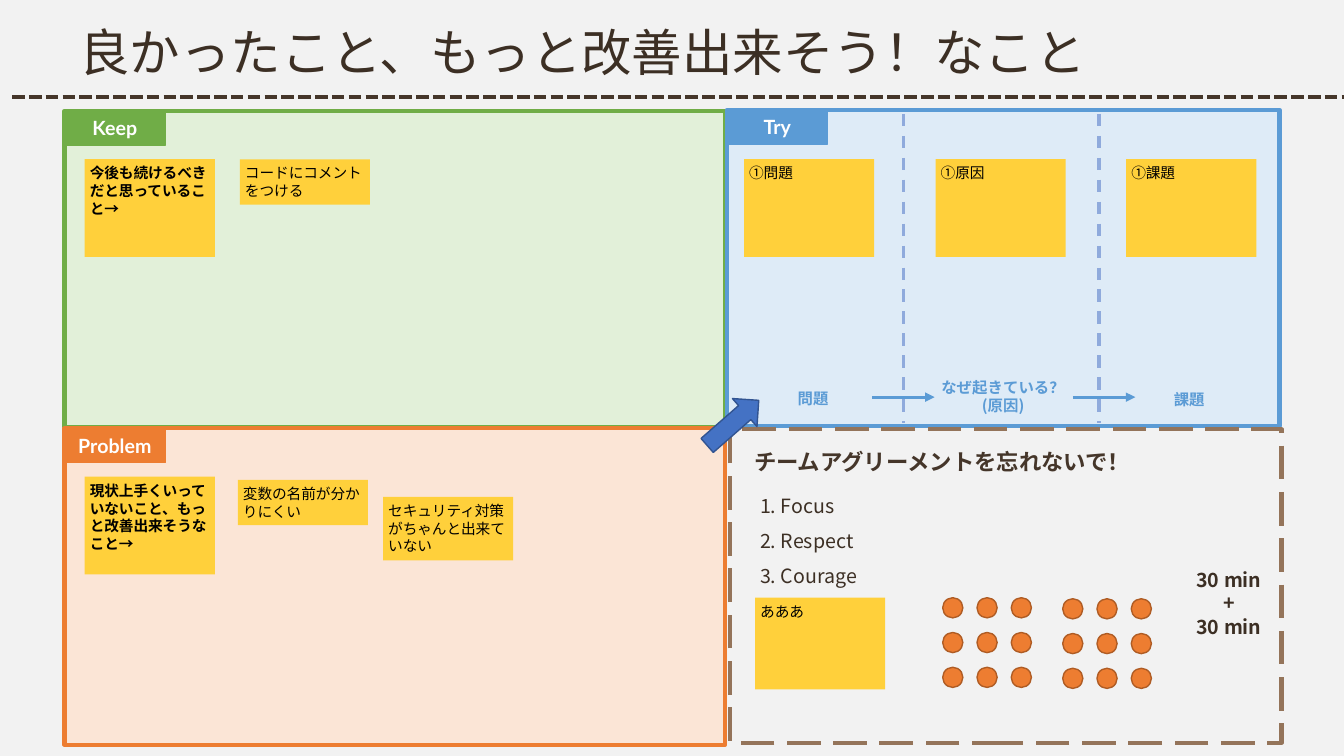
from lxml import etree
from pptx import Presentation
from pptx.dml.color import RGBColor
from pptx.enum.dml import MSO_LINE_DASH_STYLE as Dash
from pptx.enum.shapes import MSO_CONNECTOR as Connector, MSO_SHAPE as Shape
from pptx.enum.text import MSO_ANCHOR as Anchor, MSO_AUTO_SIZE as AutoSize, PP_ALIGN as Align
from pptx.oxml.ns import qn
from pptx.util import Inches, Pt

CJK = "Noto Sans CJK JP"
INK, DARK, BLUE, ORANGE, GREEN = "3C2F24", "45362A", "5B9BD5", "ED7D31", "70AD47"
NOTE_WIDTH, NOTE_HEIGHT = 1.29, 0.97


def color(value):
    """Turn a hex string into a colour."""
    return RGBColor.from_string(value)


def set_line(line, value, width, dash=None):
    """Set the colour, width in points and dash of a line."""
    line.color.rgb = color(value)
    line.width = Pt(width)
    if dash:
        line.dash_style = dash


def write(shape, text, size, value=INK, name=CJK, bold=False, align=Align.LEFT,
          spacing=None, inset=(0.1, 0.05), **frame_format):
    """Write one paragraph for each line of text into a shape."""
    frame = shape.text_frame
    frame.margin_left = frame.margin_right = Inches(inset[0])
    frame.margin_top = frame.margin_bottom = Inches(inset[1])
    frame_format = {"word_wrap": True, "vertical_anchor": Anchor.TOP} | frame_format
    for key, setting in frame_format.items():
        setattr(frame, key, setting)
    for index, words in enumerate(text.split("\n")):
        paragraph = frame.paragraphs[0] if index == 0 else frame.add_paragraph()
        paragraph.alignment = align
        if spacing:
            paragraph.line_spacing = spacing
        run = paragraph.add_run()
        run.text = words
        for key, setting in {"size": Pt(size), "bold": bold, "name": name}.items():
            setattr(run.font, key, setting)
        run.font.color.rgb = color(value)
        etree.SubElement(run.font._element, qn("a:ea"), typeface=CJK)


def add_text(slide, box, text, size, **text_format):
    """Add a text box."""
    shape = slide.shapes.add_textbox(*map(Inches, box))
    write(shape, text, size, **text_format)


def add_block(slide, kind, box, fill=None, line=None):
    """Add a preset shape without shadow; line holds colour, width and dash."""
    shape = slide.shapes.add_shape(kind, *map(Inches, box))
    shape.shadow.inherit = False
    if fill:
        shape.fill.solid()
        shape.fill.fore_color.rgb = color(fill)
    else:
        shape.fill.background()
    if line:
        set_line(shape.line, *line)
    else:
        shape.line.fill.background()
    return shape


def add_line(slide, start, end, value, width, dash=None, arrow=False):
    """Add a straight line, with an arrowhead if asked."""
    points = map(Inches, (*start, *end))
    connector = slide.shapes.add_connector(Connector.STRAIGHT, *points)
    set_line(connector.line, value, width, dash)
    if arrow:
        etree.SubElement(connector.line._get_or_add_ln(), qn("a:tailEnd"), type="triangle")
    etree.SubElement(connector._element.spPr, qn("a:effectLst"))


def add_note(slide, left, top, text, height=NOTE_HEIGHT, name="Arial", bold=False):
    """Add a yellow sticky note."""
    note = add_block(slide, Shape.RECTANGLE, (left, top, NOTE_WIDTH, height), "FFD03B")
    write(note, text, 10.5, value="000000", name=name, bold=bold, inset=(0.05, 0.05))


def add_panel(slide, box, label, fill, accent):
    """Add a framed panel with a label tab in its top left corner."""
    left, top = box[:2]
    add_block(slide, Shape.RECTANGLE, box, fill, (accent, 3))
    tab = add_block(slide, Shape.RECTANGLE, (left, top, 1, 0.34), accent, (accent, 1))
    write(tab, label, 14, value="FFFFFF", name="Lato", bold=True,
          align=Align.CENTER, vertical_anchor=Anchor.MIDDLE)


def add_title(slide, box):
    """Add the title and the dashed rule under it."""
    left, top, width, height = box
    add_text(slide, (left + 0.69, top + 0.23, 11.5, 0.97),
             "良かったこと、もっと改善出来そう！なこと", 36, spacing=0.9)
    add_line(slide, (left + 0.12, top + height), (left + width, top + height),
             DARK, 3, Dash.SQUARE_DOT)


def add_review(slide, box, label, fill, accent, prompt, notes):
    """Add a panel with a bold prompt note and smaller answer notes."""
    left, top = box[:2]
    add_panel(slide, box, label, fill, accent)
    add_note(slide, left + 0.2, top + 0.48, prompt, name=CJK, bold=True)
    for across, down, height, text in notes:
        add_note(slide, left + across, top + down, text, height)


def add_try(slide, box):
    """Add the panel that leads from problem through cause to task."""
    left, top, _, height = box
    add_panel(slide, box, "Try", "DEEBF7", BLUE)
    columns = ((0.17, "①問題", (0.6, 2.72, 0.51, 0.29), "問題"),
               (2.07, "①原因", (2.02, 2.61, 1.44, 0.47), "なぜ起きている？\n(原因)"),
               (3.96, "①課題", (4.33, 2.73, 0.51, 0.29), "課題"))
    for across, note, (x, y, width, tall), label in columns:
        add_note(slide, left + across, top + 0.49, note)
        add_text(slide, (left + x, top + y, width, tall), label, 11, value=BLUE,
                 bold=True, align=Align.CENTER, word_wrap=False)
    for divider, arrow in ((1.75, 1.44), (3.69, 3.43)):
        add_line(slide, (left + divider, top + 0.04), (left + divider, top + height - 0.03),
                 "8FAADC", 2.25, Dash.DASH)
        add_line(slide, (left + arrow, top + 2.85), (left + arrow + 0.62, top + 2.85),
                 BLUE, 2.25, arrow=True)


def add_dots(slide, left, top):
    """Add a three by three grid of voting dots."""
    for index in range(9):
        row, column = divmod(index, 3)
        add_block(slide, Shape.OVAL, (left + column * 0.34, top + row * 0.345, 0.2, 0.2),
                  ORANGE, ("AF5C24", 1))


def add_agreement(slide, box):
    """Add the dashed box with the team agreement, dots and timing."""
    left, top = box[:2]
    add_block(slide, Shape.RECTANGLE, box, line=("94745A", 3, Dash.LONG_DASH))
    add_text(slide, (left + 0.14, top + 0.14, 4.02, 0.37),
             "チームアグリーメントを忘れないで！", 16, value=DARK, bold=True, word_wrap=False)
    add_text(slide, (left + 0.2, top + 0.47, 1.25, 1.13),
             "1. Focus\n2. Respect\n3. Courage", 14, spacing=1.5, word_wrap=False,
             auto_size=AutoSize.SHAPE_TO_FIT_TEXT)
    add_text(slide, (left + 4.47, top + 1.32, 0.96, 0.81), "30 min\n+\n30 min", 14,
             bold=True, align=Align.CENTER)
    add_note(slide, left + 0.25, top + 1.67, "あああ", 0.91)
    add_dots(slide, left + 2.11, top + 1.67)
    add_dots(slide, left + 3.3, top + 1.68)


def add_link_arrow(slide, box):
    """Add the block arrow from Problem to Try."""
    arrow = add_block(slide, Shape.RIGHT_ARROW, box, "4472C4", ("325491", 1))
    arrow.rotation = 318.8


def main():
    """Build and save the retrospective board."""
    presentation = Presentation()
    presentation.slide_width, presentation.slide_height = Inches(13.33), Inches(7.5)
    slide = presentation.slides.add_slide(presentation.slide_layouts[6])
    slide.background.fill.solid()
    slide.background.fill.fore_color.rgb = color("F2F2F2")
    add_title(slide, (0, 0, 13.33, 0.96))
    add_review(slide, (0.64, 1.1, 6.55, 3.14), "Keep", "E2F0D9", GREEN,
               "今後も続けるべきだと思っていること→",
               [(1.74, 0.48, 0.45, "コードにコメントをつける")])
    add_review(slide, (0.64, 4.25, 6.55, 3.14), "Problem", "FBE5D6", ORANGE,
               "現状上手くいっていないこと、もっと改善出来そうなこと→",
               [(1.72, 0.51, 0.45, "変数の名前が分かりにくい"),
                (3.16, 0.68, 0.63, "セキュリティ対策がちゃんと出来ていない")])
    add_try(slide, (7.21, 1.09, 5.48, 3.14))
    add_agreement(slide, (7.24, 4.26, 5.47, 3.11))
    add_link_arrow(slide, (6.93, 4.01, 0.68, 0.37))
    presentation.save("out.pptx")


if __name__ == "__main__":
    main()
